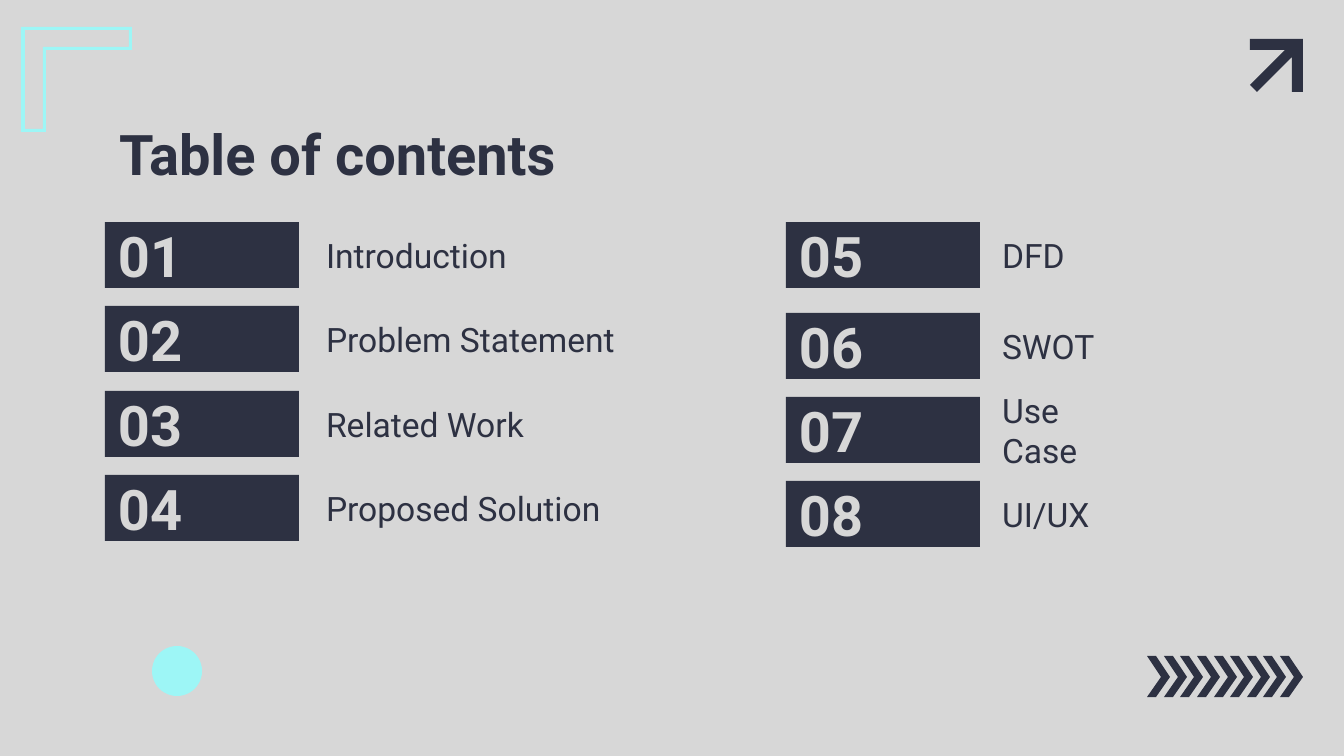
from pptx import Presentation
from pptx.dml.color import RGBColor
from pptx.enum.shapes import MSO_SHAPE
from pptx.enum.text import MSO_ANCHOR, PP_ALIGN
from pptx.util import Pt

RECT, OVAL = MSO_SHAPE.RECTANGLE, MSO_SHAPE.OVAL
TOP, MIDDLE = MSO_ANCHOR.TOP, MSO_ANCHOR.MIDDLE
LEFT = PP_ALIGN.LEFT

GREY = RGBColor(0xD7, 0xD7, 0xD7)
NAVY = RGBColor(0x2D, 0x31, 0x42)
AQUA = RGBColor(0x9D, 0xF6, 0xF6)

EMU_PER_PX = 914400 / 134.4


def px(n):
    return round(n * EMU_PER_PX)


class Deck:
    font = "Roboto"
    inset = 13

    def __init__(self, width, height):
        self.prs = Presentation()
        self.prs.slide_width, self.prs.slide_height = px(width), px(height)

    def add_slide(self, color):
        self.s = self.prs.slides.add_slide(self.prs.slide_layouts[6])
        self.s.background.fill.solid()
        self.s.background.fill.fore_color.rgb = color

    def paint(self, sp, color):
        sp.shadow.inherit = False
        sp.fill.solid()
        sp.fill.fore_color.rgb = color
        sp.line.fill.background()

    def shape(self, kind, x, y, w, h, color):
        sp = self.s.shapes.add_shape(kind, px(x), px(y), px(w), px(h))
        self.paint(sp, color)
        return sp

    def set_text(self, sp, text, size, color, bold=False, anchor=MIDDLE):
        tf = sp.text_frame
        tf.word_wrap = True
        tf.vertical_anchor = anchor
        tf.margin_left = tf.margin_right = px(self.inset)
        tf.margin_top = tf.margin_bottom = px(self.inset)
        p = tf.paragraphs[0]
        p.alignment = LEFT
        r = p.add_run()
        r.text = text
        r.font.name, r.font.size, r.font.bold = self.font, Pt(size), bold
        r.font.color.rgb = color

    def text(self, x, y, w, h, text, size, **style):
        sp = self.s.shapes.add_textbox(px(x), px(y), px(w), px(h))
        self.set_text(sp, text, size, NAVY, **style)

    def polygon(self, contours, color, shapes=None):
        shapes = self.s.shapes if shapes is None else shapes
        first, *others = contours
        fb = shapes.build_freeform(*first[0], scale=EMU_PER_PX)
        fb.add_line_segments(first[1:])
        for points in others:
            fb.move_to(*points[0])
            fb.add_line_segments(points[1:])
        self.paint(fb.convert_to_shape(), color)


def main():
    deck = Deck(1344, 756)
    deck.add_slide(GREY)

    # Corner bracket: outer edge, then inner edge in the opposite direction
    outer = [(21, 27), (132, 27), (132, 50), (46, 50), (46, 132), (21, 132)]
    inner = [(25, 129), (43, 129), (43, 47), (129, 47), (129, 30), (25, 30)]
    deck.polygon([outer, inner], AQUA)

    # Title
    deck.text(106, 107, 824, 85, "Table of contents", 30, bold=True, anchor=TOP)

    # Contents: number box x, label x, label width, rows of (y, label)
    columns = [
        (105, 313, 513, [(222, "Introduction"), (306, "Problem Statement"),
                         (391, "Related Work"), (475, "Proposed Solution")]),
        (786, 989, 157, [(222, "DFD"), (313, "SWOT"),
                         (397, "Use Case"), (481, "UI/UX")]),
    ]
    number = 0
    for box_x, label_x, label_w, rows in columns:
        for y, label in rows:
            number += 1
            sp = deck.shape(RECT, box_x, y, 194, 66, NAVY)
            deck.set_text(sp, f"{number:02d}", 30, GREY, bold=True)
            deck.text(label_x, y, label_w, 66, label, 18)

    # Corner arrow
    deck.polygon([[(1250, 39), (1250, 50), (1285, 50), (1250, 85), (1257, 92),
                   (1292, 57), (1292, 92), (1303, 92), (1303, 39)]], NAVY)

    # Row of chevrons
    chevron = [(0, 0), (14, 21), (0, 41), (9, 41), (23, 21), (9, 0)]
    group = deck.s.shapes.add_group_shape()
    for i in range(9):
        x = 1280 - 16.6 * i
        deck.polygon([[(x + dx, 656 + dy) for dx, dy in chevron]], NAVY, group.shapes)

    # Dot
    deck.shape(OVAL, 152, 646, 50, 50, AQUA)

    deck.prs.save("out.pptx")


if __name__ == "__main__":
    main()
